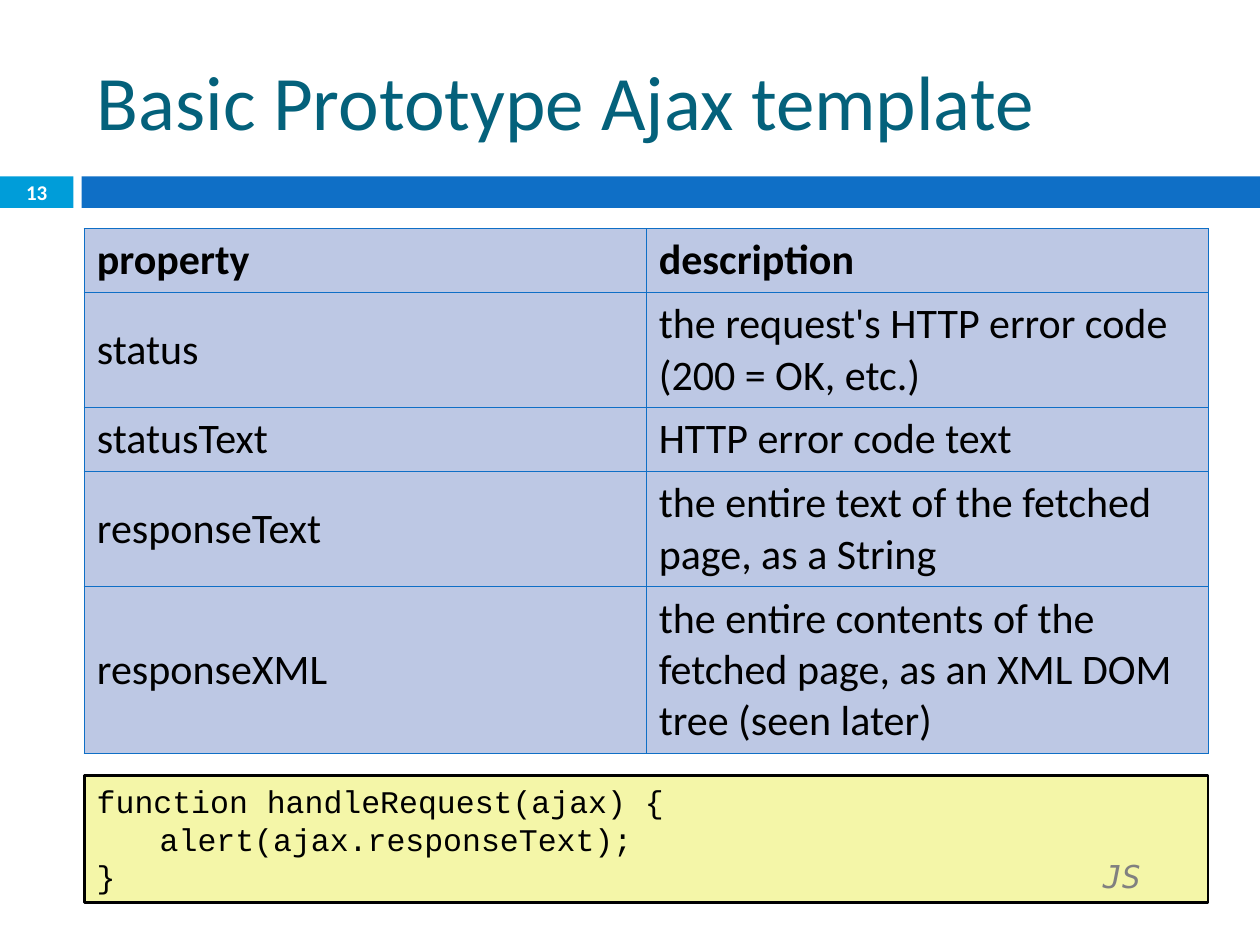
"""Builds a slide with a table of Ajax response properties and a code sample."""
import dataclasses
import typing

import lxml.etree
import pptx
import pptx.dml.color
import pptx.enum.shapes
import pptx.enum.text
import pptx.oxml.ns
import pptx.util

Pt = pptx.util.Pt
qn = pptx.oxml.ns.qn
MIDDLE = pptx.enum.text.MSO_ANCHOR.MIDDLE
LEFT = pptx.enum.text.PP_ALIGN.LEFT
CENTER = pptx.enum.text.PP_ALIGN.CENTER


@dataclasses.dataclass(frozen=True)
class Theme:
    title: str = "04617B"
    accent: str = "009DD9"
    band: str = "0F6FC6"
    cell: str = "BDC8E4"
    code_fill: str = "F4F6A8"
    black: str = "000000"
    white: str = "FFFFFF"
    gray: str = "808080"
    body_font: str = "Calibri"
    code_font: str = "Courier New"
    label_font: str = "DejaVu Sans Mono"
    title_size: float = 44
    table_size: float = 24
    code_size: float = 18
    number_size: float = 12
    grid_width: float = 0.79
    code_border: float = 1.5


@dataclasses.dataclass(frozen=True)
class Box:
    left: float
    top: float
    width: float
    height: float

    def lengths(self) -> tuple[int, ...]:
        return tuple(Pt(value) for value in dataclasses.astuple(self))


@dataclasses.dataclass(frozen=True)
class TextStyle:
    font: str
    size: float
    color: str
    bold: bool = False
    italic: bool = False


class PropertyRow(typing.NamedTuple):
    name: str
    description: str
    height: float


THEME = Theme()
CONTENT_LEFT, CONTENT_WIDTH = 48.2, 642.2
LABEL_TAB = 575
CODE_STYLE = TextStyle(THEME.code_font, THEME.code_size, THEME.black)
LABEL_STYLE = TextStyle(THEME.label_font, THEME.code_size, THEME.gray, italic=True)
ROWS = (
    PropertyRow("property", "description", 36.3),
    PropertyRow("status", "the request's HTTP error code (200 = OK, etc.)", 64.7),
    PropertyRow("statusText", "HTTP error code text", 36),
    PropertyRow("responseText", "the entire text of the fetched page, as a String", 64.7),
    PropertyRow("responseXML", "the entire contents of the fetched page, as an XML DOM tree (seen later)", 93.6),
)
CODE_LINES = ("function handleRequest(ajax) {", "\talert(ajax.responseText);", "}\t")


def rgb(color: str) -> pptx.dml.color.RGBColor:
    return pptx.dml.color.RGBColor.from_string(color)


def add_run(paragraph, text: str, style: TextStyle) -> None:
    run = paragraph.add_run()
    run.text = text
    run.font.name = style.font
    run.font.size = Pt(style.size)
    run.font.bold = style.bold
    run.font.italic = style.italic
    run.font.color.rgb = rgb(style.color)


def add_rectangle(slide, box: Box, fill: str, border: str | None = None):
    shape = slide.shapes.add_shape(pptx.enum.shapes.MSO_SHAPE.RECTANGLE, *box.lengths())
    shape.shadow.inherit = False
    shape.fill.solid()
    shape.fill.fore_color.rgb = rgb(fill)
    if border:
        shape.line.color.rgb = rgb(border)
        shape.line.width = Pt(THEME.code_border)
    else:
        shape.line.fill.background()
    return shape


def add_header(slide) -> None:
    number = add_rectangle(slide, Box(0, 100.8, 42, 18), THEME.accent)
    add_rectangle(slide, Box(46.6, 100.8, 673.4, 18), THEME.band)
    frame = number.text_frame
    frame.margin_top = frame.margin_bottom = 0
    frame.vertical_anchor = MIDDLE
    frame.paragraphs[0].alignment = CENTER
    add_run(frame.paragraphs[0], "13",
            TextStyle(THEME.body_font, THEME.number_size, THEME.white, bold=True))

    title = slide.shapes.title
    title.left, title.top, title.width, title.height = Box(
        CONTENT_LEFT, 18, CONTENT_WIDTH, 78).lengths()
    title.text_frame.auto_size = pptx.enum.text.MSO_AUTO_SIZE.NONE
    title.text_frame.vertical_anchor = MIDDLE
    paragraph = title.text_frame.paragraphs[0]
    paragraph.alignment = LEFT
    add_run(paragraph, "Basic Prototype Ajax template",
            TextStyle(THEME.body_font, THEME.title_size, THEME.title))


def set_borders(cell) -> None:
    properties = cell._tc.get_or_add_tcPr()
    for position, side in enumerate(("a:lnL", "a:lnR", "a:lnT", "a:lnB")):
        line = lxml.etree.Element(qn(side), w=str(Pt(THEME.grid_width)))
        fill = lxml.etree.SubElement(line, qn("a:solidFill"))
        lxml.etree.SubElement(fill, qn("a:srgbClr"), val=THEME.band)
        properties.insert(position, line)


def add_property_table(slide) -> None:
    box = Box(CONTENT_LEFT, 130.7, CONTENT_WIDTH, sum(row.height for row in ROWS))
    table = slide.shapes.add_table(len(ROWS), 2, *box.lengths()).table
    for row_index, row in enumerate(ROWS):
        table.rows[row_index].height = Pt(row.height)
        style = TextStyle(THEME.body_font, THEME.table_size, THEME.black, bold=row_index == 0)
        for column_index, text in enumerate((row.name, row.description)):
            cell = table.cell(row_index, column_index)
            cell.fill.solid()
            cell.fill.fore_color.rgb = rgb(THEME.cell)
            cell.vertical_anchor = MIDDLE
            set_borders(cell)
            add_run(cell.text_frame.paragraphs[0], text, style)


def add_code_box(slide) -> None:
    shape = add_rectangle(slide, Box(CONTENT_LEFT, 443.2, CONTENT_WIDTH, 72.7),
                          THEME.code_fill, THEME.black)
    frame = shape.text_frame
    frame.vertical_anchor = pptx.enum.text.MSO_ANCHOR.TOP
    for index, line in enumerate(CODE_LINES):
        paragraph = frame.add_paragraph() if index else frame.paragraphs[0]
        paragraph.alignment = LEFT
        add_run(paragraph, line, CODE_STYLE)
    tabs = lxml.etree.SubElement(paragraph._p.get_or_add_pPr(), qn("a:tabLst"))
    lxml.etree.SubElement(tabs, qn("a:tab"), pos=str(Pt(LABEL_TAB)), algn="l")
    add_run(paragraph, "JS", LABEL_STYLE)


def main() -> None:
    presentation = pptx.Presentation()
    presentation.slide_width, presentation.slide_height = Pt(720), Pt(540)
    slide = presentation.slides.add_slide(presentation.slide_layouts[5])
    add_header(slide)
    add_property_table(slide)
    add_code_box(slide)
    presentation.save("out.pptx")


main()
